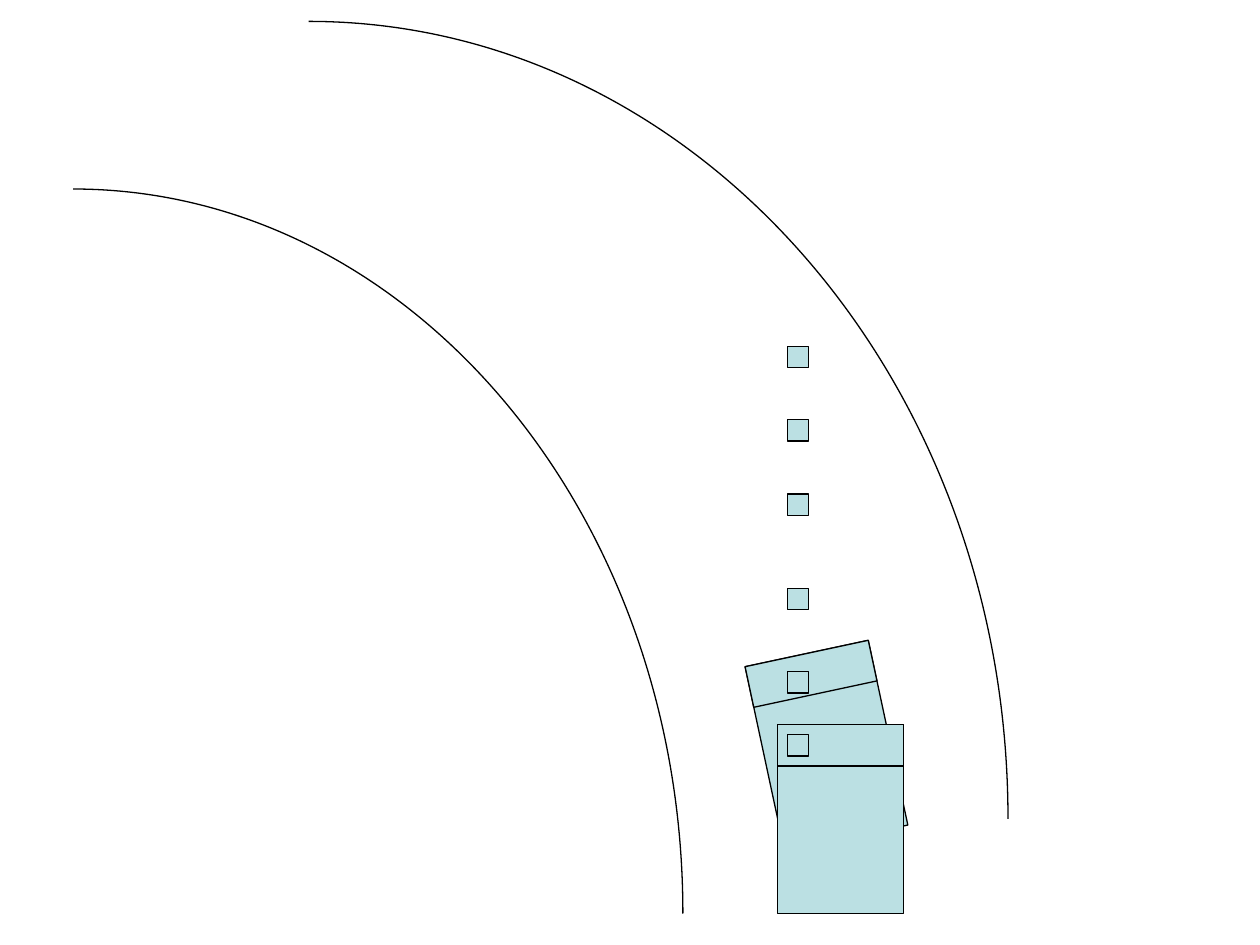
from lxml import etree
from pptx import Presentation
from pptx.dml.color import RGBColor
from pptx.enum import shapes as sh
from pptx.oxml import ns
from pptx.util import Inches, Pt

AQUA = RGBColor(0xBB, 0xE0, 0xE3)
BLACK = RGBColor(0, 0, 0)
KAPPA = 0.5523  # Bezier handle length for a quarter ellipse


class Pen:
    """Hold the style and the current slide."""

    def __init__(self, slide):
        """Keep the slide and the outline format."""
        self.slide = slide
        self.edge = {"width": Pt(0.75)}

    def style(self, shape, fill=None):
        """Apply the outline and an optional fill."""
        shape.shadow.inherit = False
        shape.line.color.rgb = BLACK
        for name, value in self.edge.items():
            setattr(shape.line, name, value)
        if fill is None:
            shape.fill.background()
        else:
            shape.fill.solid()
            shape.fill.fore_color.rgb = fill

    def box(self, left, top, width, height, home=None):
        """Draw a filled rectangle on the slide or in a group."""
        home = home or self.slide
        box = home.shapes.add_shape(
            sh.MSO_SHAPE.RECTANGLE, *map(Inches, (left, top, width, height)))
        self.style(box, AQUA)

    def truck(self, left, top, turn=0):
        """Draw a grouped body and cab, turned as one."""
        group = self.slide.shapes.add_group_shape()
        for height in (1.5, 0.33):
            self.box(left, top, 1, height, group)
        group.rotation = turn

    def curve(self, left, top, right, bottom):
        """Draw a quarter ellipse from the top left to the bottom right."""
        wide, high = Inches(right - left), Inches(bottom - top)
        form = self.slide.shapes.build_freeform(Inches(left), Inches(top))
        form.add_line_segments([(Inches(left) + wide, Inches(top) + high)],
                               close=False)
        arc = form.convert_to_shape()
        self.style(arc)
        step = next(arc.element.iter(ns.qn("a:lnTo")))
        bend = etree.Element(ns.qn("a:cubicBezTo"))
        for x, y in ((KAPPA, 0), (1, 1 - KAPPA), (1, 1)):
            etree.SubElement(bend, ns.qn("a:pt"),
                             x=str(round(x * wide)), y=str(round(y * high)))
        step.getparent().replace(step, bend)


def main():
    """Build the slide with a truck on a curved road."""
    deck = Presentation()
    deck.slide_width, deck.slide_height = Inches(10), Inches(7.5)
    pen = Pen(deck.slides.add_slide(deck.slide_layouts[6]))
    pen.truck(6.06, 5.17, 347.9)
    pen.curve(0.58, 1.5, 5.42, 7.25)
    pen.curve(2.45, 0.17, 8, 6.5)
    pen.truck(6.17, 5.75)
    for top in (5.83, 5.33, 4.67, 3.92, 3.33, 2.75):
        pen.box(6.25, top, 0.17, 0.17)
    deck.save("out.pptx")


main()
